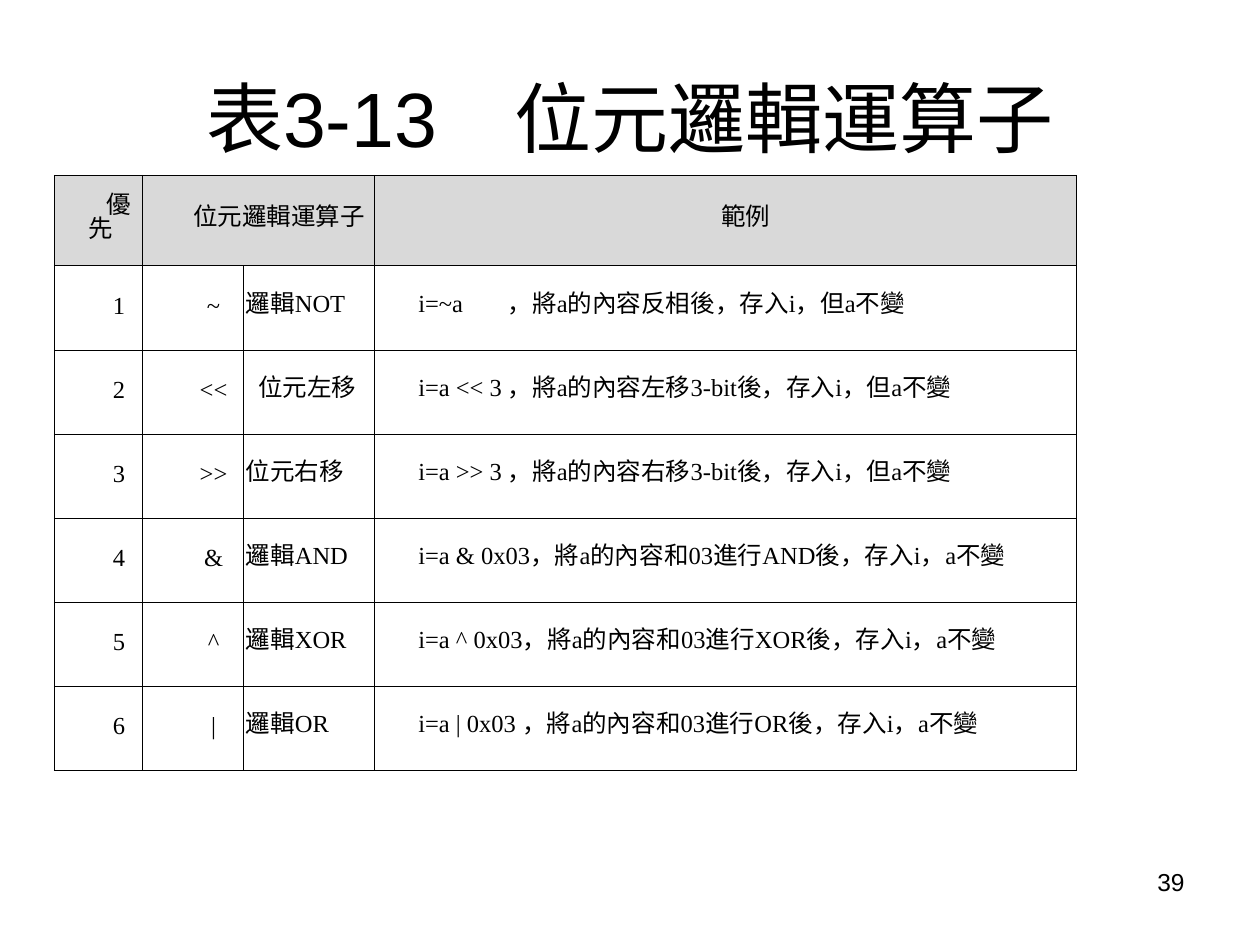
from lxml import etree
from pptx import Presentation
from pptx.dml.color import RGBColor
from pptx.enum.text import MSO_ANCHOR, PP_ALIGN
from pptx.oxml.ns import qn
from pptx.util import Emu, Inches, Pt

LEFT, CENTER, RIGHT = PP_ALIGN.LEFT, PP_ALIGN.CENTER, PP_ALIGN.RIGHT
TOP, MIDDLE = MSO_ANCHOR.TOP, MSO_ANCHOR.MIDDLE

COLORS = {"ink": "000000", "header": "D9D9D9"}
HEADING_FONT, BODY_FONT = "Arial", "Times New Roman"
GRID_COLUMNS, GRID_ROWS = 100, 75

# Table sizes, in grid units
COLUMN_WIDTHS = [7, 8, 10.4, 55.7]
HEADER_HEIGHT, ROW_HEIGHT = 7.2, 6.68

# Paragraph indents, in inches
MARGIN, INDENT = 0.04, 0.29
NAME_INDENT, SHIFTED_NAME_INDENT = -0.04, 0.06

# Symbol, name, name indent, example, tab stop in inches
OPERATORS = [
    ("~", "邏輯NOT", NAME_INDENT, "i=~a\t，將a的內容反相後，存入i，但a不變", 0.92),
    ("<<", "位元左移", SHIFTED_NAME_INDENT,
     "i=a << 3\t，將a的內容左移3-bit後，存入i，但a不變", 1.08),
    (">>", "位元右移", NAME_INDENT,
     "i=a >> 3\t，將a的內容右移3-bit後，存入i，但a不變", 1.08),
    ("&", "邏輯AND", NAME_INDENT,
     "i=a & 0x03，將a的內容和03進行AND後，存入i，a不變", None),
    ("^", "邏輯XOR", NAME_INDENT,
     "i=a ^ 0x03，將a的內容和03進行XOR後，存入i，a不變", None),
    ("|", "邏輯OR", NAME_INDENT,
     "i=a | 0x03 ，將a的內容和03進行OR後，存入i，a不變", None),
]


class SlideBuilder:
    def __init__(self, presentation):
        self.slide = presentation.slides.add_slide(presentation.slide_layouts[6])
        self.column = presentation.slide_width / GRID_COLUMNS
        self.row = presentation.slide_height / GRID_ROWS

    def across(self, columns):
        return Emu(round(columns * self.column))

    def down(self, rows):
        return Emu(round(rows * self.row))

    def run(self, paragraph, text, size, font, align):
        paragraph.alignment = align
        run = paragraph.add_run()
        run.text = text
        run.font.size = Pt(size)
        run.font.name = font
        run.font.color.rgb = RGBColor.from_string(COLORS["ink"])

    def text(self, left, top, width, height, text, size, align, anchor=TOP):
        box = self.slide.shapes.add_textbox(
            self.across(left), self.down(top), self.across(width), self.down(height))
        frame = box.text_frame
        frame.word_wrap = True
        frame.vertical_anchor = anchor
        self.run(frame.paragraphs[0], text, size, HEADING_FONT, align)

    def table(self, left, top, widths, heights):
        frame = self.slide.shapes.add_table(
            len(heights), len(widths), self.across(left), self.down(top),
            self.across(sum(widths)), self.down(sum(heights)))
        table = frame.table
        table.first_row = table.horz_banding = False
        for column, width in zip(table.columns, widths):
            column.width = self.across(width)
        for row, height in zip(table.rows, heights):
            row.height = self.down(height)
        for cell in table.iter_cells():
            cell.fill.background()
            self.borders(cell)
        return table

    def borders(self, cell):
        properties = cell._tc.get_or_add_tcPr()
        for position, side in enumerate(("lnL", "lnR", "lnT", "lnB")):
            line = etree.Element(qn(f"a:{side}"), w=str(Pt(0.45)))
            fill = etree.SubElement(line, qn("a:solidFill"))
            etree.SubElement(fill, qn("a:srgbClr"), val=COLORS["ink"])
            properties.insert(position, line)

    def cell(self, cell, text, align=CENTER, indent=INDENT, font=BODY_FONT,
             spacing=13, tab=None, fill=None):
        cell.margin_left = cell.margin_right = Inches(0.02)
        cell.margin_top = cell.margin_bottom = Inches(0.05)
        cell.vertical_anchor = MIDDLE
        if fill:
            cell.fill.solid()
            cell.fill.fore_color.rgb = RGBColor.from_string(COLORS[fill])
        paragraph = cell.text_frame.paragraphs[0]
        paragraph.line_spacing = Pt(spacing)
        paragraph.space_after = Pt(1)
        properties = paragraph._p.get_or_add_pPr()
        properties.set("marL", str(Inches(MARGIN)))
        properties.set("indent", str(Inches(indent)))
        if tab:
            tabs = etree.SubElement(properties, qn("a:tabLst"))
            etree.SubElement(tabs, qn("a:tab"), pos=str(Inches(tab)), algn="l")
        self.run(paragraph, text, 14, font, align)


def main():
    presentation = Presentation()
    presentation.slide_width, presentation.slide_height = Inches(10), Inches(7.5)
    builder = SlideBuilder(presentation)

    # Title and page number
    builder.text(5, 3, 90, 12.5, "表3-13　位元邏輯運算子", 44, CENTER, MIDDLE)
    builder.text(71.7, 68.3, 23.3, 5.2, "39", 14, RIGHT)

    # Table header
    heights = [HEADER_HEIGHT] + [ROW_HEIGHT] * len(OPERATORS)
    table = builder.table(4.3, 13.9, COLUMN_WIDTHS, heights)
    table.cell(0, 1).merge(table.cell(0, 2))
    for column, heading in ((0, "優先"), (1, "位元邏輯運算子"), (3, "範例")):
        builder.cell(table.cell(0, column), heading, font=HEADING_FONT,
                     spacing=14, fill="header")

    # Operators in order of priority
    for priority, operator in enumerate(OPERATORS, start=1):
        symbol, name, name_indent, example, tab = operator
        builder.cell(table.cell(priority, 0), str(priority))
        builder.cell(table.cell(priority, 1), symbol)
        builder.cell(table.cell(priority, 2), name, LEFT, name_indent)
        builder.cell(table.cell(priority, 3), example, LEFT, tab=tab)

    presentation.save("out.pptx")


if __name__ == "__main__":
    main()
